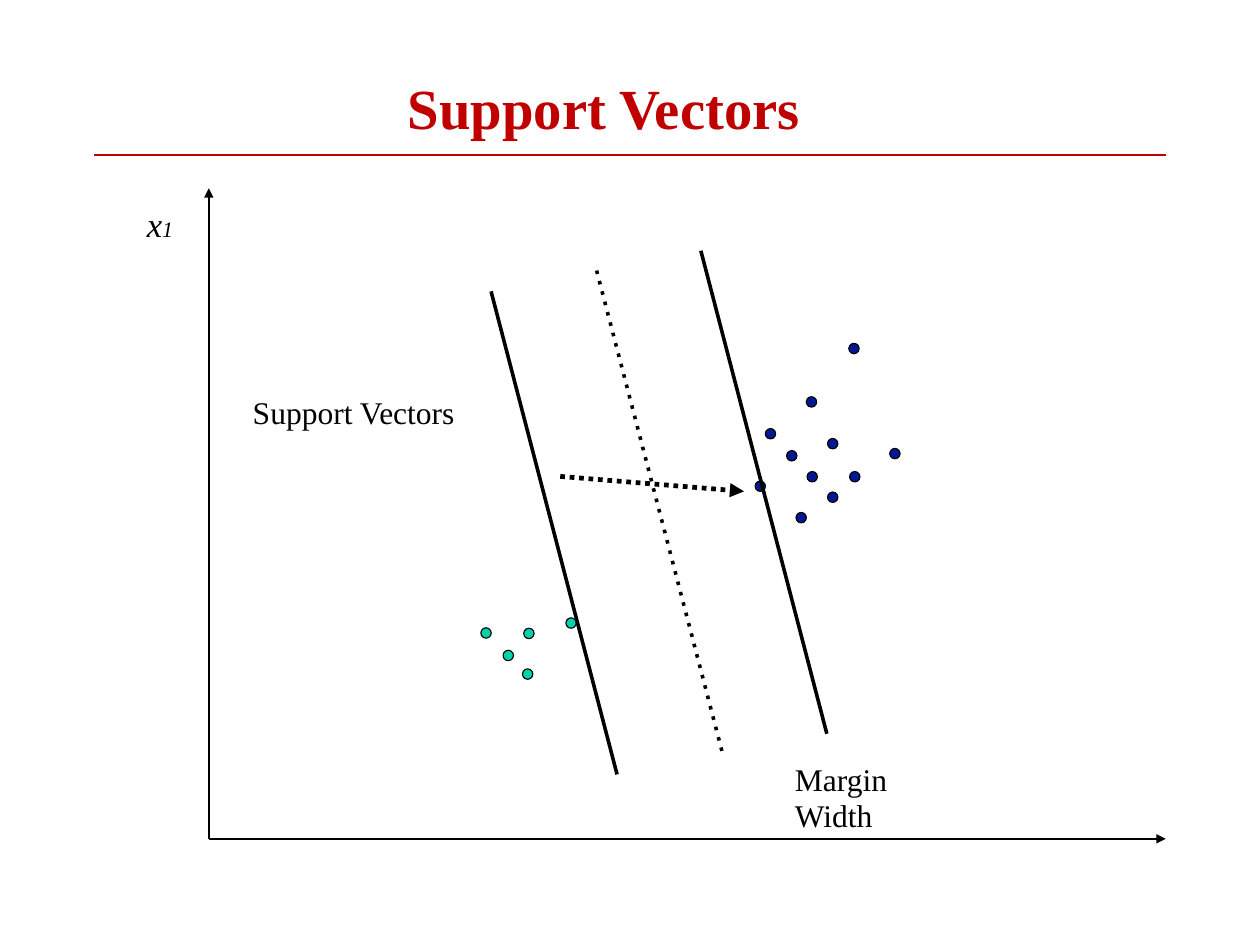
from pptx import Presentation
from pptx.dml.color import RGBColor
from pptx.enum.shapes import MSO_CONNECTOR, MSO_SHAPE
from pptx.oxml.ns import qn
from pptx.util import Pt
from lxml.etree import SubElement

# Content
FONT = "Times New Roman"
BLACK, RED, TEAL, NAVY = "000000", "C00000", "00D2A9", "011892"

# left, top, width, height, line spacing, colour, bold, italic, lines of (text, size)
LABELS = [
    (258.8, 48.2, 256, 42, 41, RED, True, False, [[("Support Vectors", 36)]]),
    (93.3, 139, 20, 28, 16, BLACK, False, True, [[("x", 22), ("1", 14)]]),
    (160.5, 251.3, 138, 24, 22, BLACK, False, False, [[("Support Vectors", 20)]]),
    (504.7, 484.6, 62, 48, 22, BLACK, False, False, [[("Margin", 20)], [("Width", 20)]]),
]

# Centres of the points in each class
CLASSES = {
    TEAL: [(308.6, 401.9), (322.7, 416.2), (335.8, 402.2), (362.6, 395.6), (335, 428)],
    NAVY: [(489.2, 275.4), (502.7, 289.4), (515.7, 302.7), (528.7, 315.7),
           (528.7, 281.7), (508.7, 328.7), (542.7, 302.7), (482.7, 308.7),
           (542.2, 221.3), (568.2, 288), (515.2, 255.2)],
}
DOT_SIZE = 6.6

ORIGIN = (132.6, 532.6)
RIGHT_EDGE = 740.2
BOUNDARY_RUN, BOUNDARY_DROP = 80, 306.7
# top of each boundary, gap between dots in line widths (0 is solid)
BOUNDARIES = [((378.8, 171.8), 2), ((311.8, 185), 0), ((445, 159.2), 0)]


def colour(hex_code):
    return RGBColor.from_string(hex_code)


def add_line(start, end, width, hex_code=BLACK, gap=0, arrow=False):
    line = page.shapes.add_connector(
        MSO_CONNECTOR.STRAIGHT, *(Pt(value) for value in (*start, *end)))
    line.line.width = Pt(width)
    line.line.color.rgb = colour(hex_code)
    outline = line.line._get_or_add_ln()
    if gap:
        dashes = SubElement(outline, qn("a:custDash"))
        SubElement(dashes, qn("a:ds"), d="100000", sp=str(gap * 100000))
    if arrow:
        SubElement(outline, qn("a:tailEnd"), type="triangle", w="med", len="med")
    SubElement(line._element.spPr, qn("a:effectLst"))


def add_dot(centre, hex_code):
    left, top = (value - DOT_SIZE / 2 for value in centre)
    dot = page.shapes.add_shape(
        MSO_SHAPE.OVAL, Pt(left), Pt(top), Pt(DOT_SIZE), Pt(DOT_SIZE))
    dot.shadow.inherit = False
    dot.fill.solid()
    dot.fill.fore_color.rgb = colour(hex_code)
    dot.line.color.rgb = colour(BLACK)
    dot.line.width = Pt(0.72)


def add_label(left, top, width, height, spacing, hex_code, bold, italic, lines):
    box = page.shapes.add_textbox(Pt(left), Pt(top), Pt(width), Pt(height))
    frame = box.text_frame
    frame.margin_left = frame.margin_right = frame.margin_top = frame.margin_bottom = 0
    frame.word_wrap = False
    for index, spans in enumerate(lines):
        para = frame.add_paragraph() if index else frame.paragraphs[0]
        para.line_spacing = Pt(spacing)
        if index:
            para.space_before = Pt(1)
        for text, size in spans:
            span = para.add_run()
            span.text = text
            span.font.name = FONT
            span.font.size = Pt(size)
            span.font.bold = bold
            span.font.italic = italic
            span.font.color.rgb = colour(hex_code)


deck = Presentation()
deck.slide_width, deck.slide_height = Pt(800), Pt(600)
page = deck.slides.add_slide(deck.slide_layouts[6])

# Title rule and axes
add_line((59.8, 98.4), (RIGHT_EDGE, 98.4), 0.96, RED)
add_line(ORIGIN, (RIGHT_EDGE, ORIGIN[1]), 1, arrow=True)
add_line(ORIGIN, (ORIGIN[0], 119.5), 1, arrow=True)

# Data points
for dot_colour, centres in CLASSES.items():
    for centre in centres:
        add_dot(centre, dot_colour)

# Separating line, margins and margin width arrow
for (x, y), gap in BOUNDARIES:
    add_line((x, y), (x + BOUNDARY_RUN, y + BOUNDARY_DROP), 2.28, gap=gap)
add_line((355.7, 302.5), (472.4, 312), 3, gap=1, arrow=True)

# Text
for label in LABELS:
    add_label(*label)

deck.save("out.pptx")
